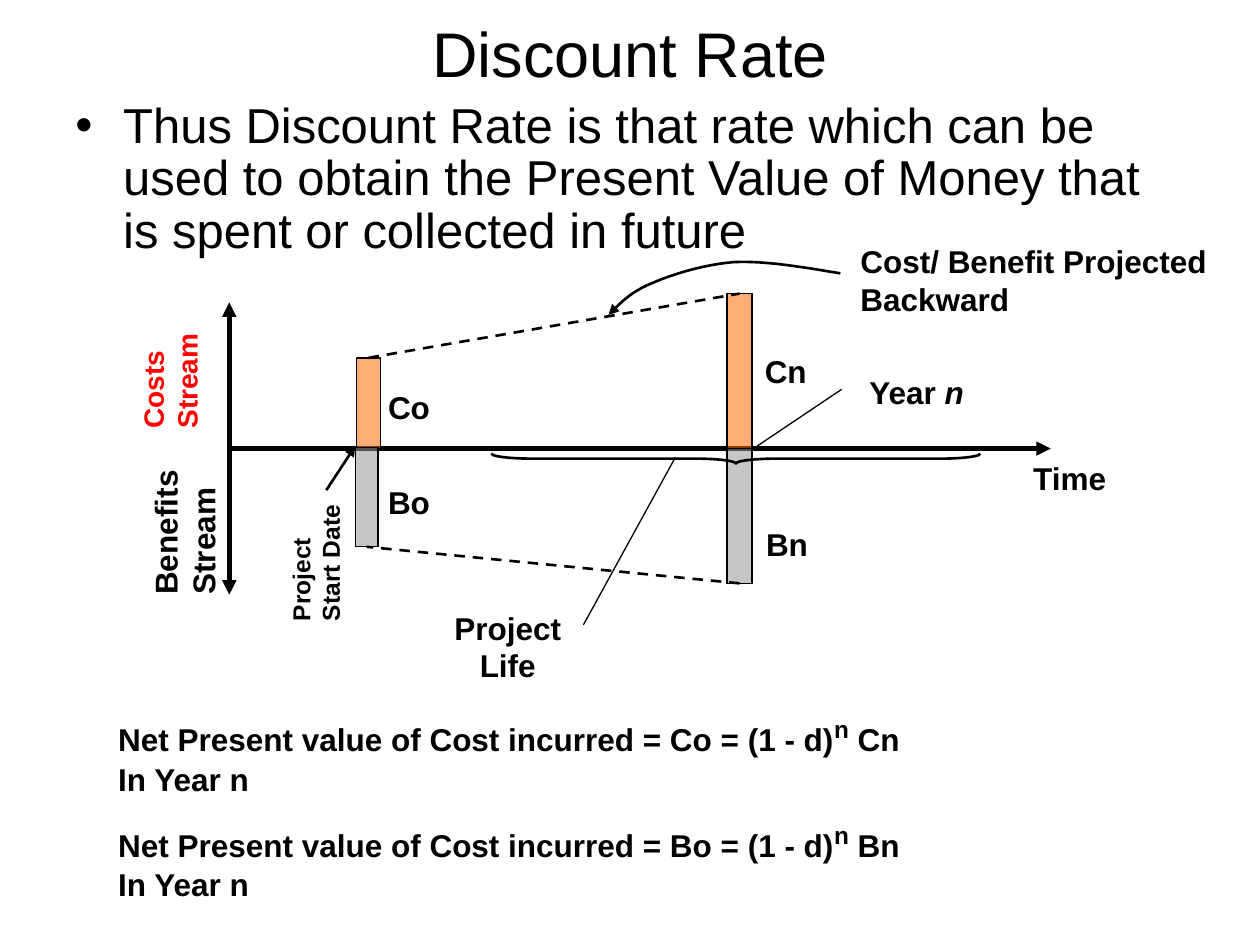
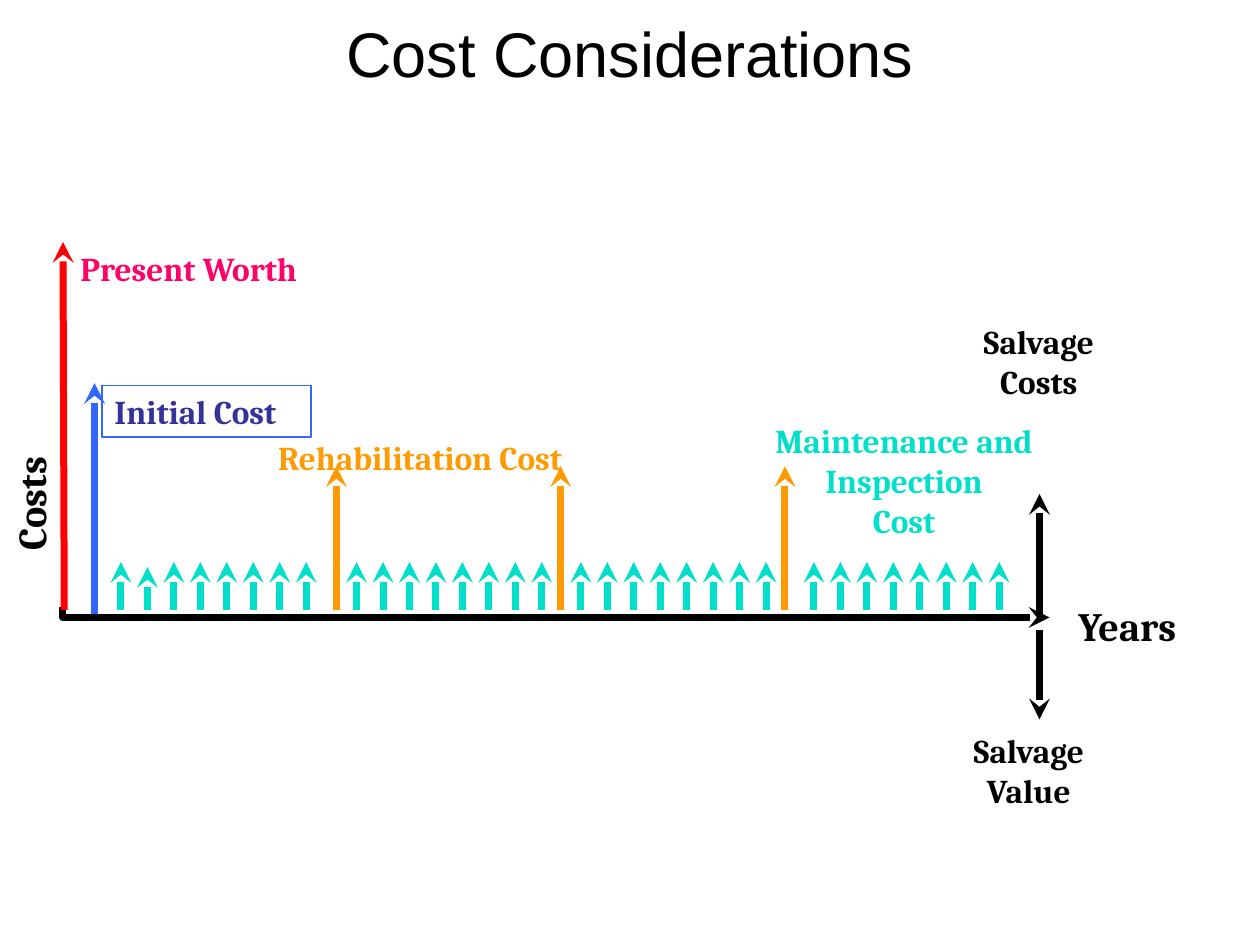
from dataclasses import dataclass

from lxml import etree
from pptx import Presentation
from pptx.dml.color import RGBColor
from pptx.enum.dml import MSO_LINE
from pptx.enum.shapes import MSO_CONNECTOR, MSO_SHAPE
from pptx.enum.text import MSO_ANCHOR, MSO_AUTO_SIZE, PP_ALIGN
from pptx.oxml.ns import qn
from pptx.util import Inches, Pt

LEFT, CENTER = PP_ALIGN.LEFT, PP_ALIGN.CENTER
MIDDLE = MSO_ANCHOR.MIDDLE
GROW, FIXED = MSO_AUTO_SIZE.SHAPE_TO_FIT_TEXT, MSO_AUTO_SIZE.NONE
DASH = MSO_LINE.DASH
STRAIGHT = MSO_CONNECTOR.STRAIGHT
RECT, BRACE = MSO_SHAPE.RECTANGLE, MSO_SHAPE.RIGHT_BRACE
TOP, BOTTOM = 0, 2


@dataclass(frozen=True)
class Theme:
    sans: str = "Arial"
    serif: str = "Cambria"
    black: str = "000000"
    red: str = "FF0000"
    pink: str = "FF0066"
    blue: str = "3366FF"
    navy: str = "333399"
    teal: str = "00DFCA"
    amber: str = "FE9B03"
    orange: str = "FF6600"
    gray: str = "969696"
    title: int = 36
    body: int = 28
    power: int = 24
    axis: int = 23
    cost: int = 19
    label: int = 18
    small: int = 16
    tiny: int = 14
    hair: float = 0.75
    thin: float = 1.5
    thick: float = 2.75
    heavy: float = 4


def rgb(code):
    return RGBColor.from_string(code)


def bezier(start, *curves, steps=12):
    """Return points along joined cubic curves, each (control, control, end)."""
    points = [start]
    for c1, c2, end in curves:
        p0 = points[-1]
        for i in range(1, steps + 1):
            t = i / steps
            u = 1 - t
            points.append(tuple(
                u**3 * a + 3 * u * u * t * b + 3 * u * t * t * c + t**3 * d
                for a, b, c, d in zip(p0, c1, c2, end)))
    return points


class Deck:
    def __init__(self, theme):
        self.theme = theme
        self.prs = Presentation()
        self.prs.slide_width, self.prs.slide_height = Inches(10), Inches(7.5)
        self.shapes = None

    def slide(self, title):
        blank = self.prs.slide_layouts[6]
        self.shapes = self.prs.slides.add_slide(blank).shapes
        box = self.text((0, 0, 10, 0.83), [title], self.theme.title,
                        bold=False, align=CENTER, wrap=True)
        box.text_frame.vertical_anchor = MIDDLE

    def text(self, at, paras, size, color=None, font=None, bold=True,
             align=LEFT, wrap=False, inset=True, upright=False, bullet=False):
        """Add text; a paragraph is a string or a list of (words, format)."""
        box = self.shapes.add_textbox(*map(Inches, at))
        frame = box.text_frame
        frame.word_wrap = wrap
        frame.auto_size = FIXED if wrap else GROW
        if not inset:
            for side in ("left", "top", "right", "bottom"):
                setattr(frame, f"margin_{side}", 0)
        if upright:
            frame._txBody.bodyPr.set("vert", "vert270")
        base = {"name": font or self.theme.sans, "size": Pt(size), "bold": bold}
        for i, words in enumerate(paras):
            para = frame.add_paragraph() if i else frame.paragraphs[0]
            para.alignment = align
            if bullet:
                self.bullet(para)
            runs = [(words, {})] if isinstance(words, str) else words
            for part, extra in runs:
                run = para.add_run()
                run.text = part
                for key, value in {**base, **extra}.items():
                    if key == "raise":
                        run._r.get_or_add_rPr().set("baseline", value)
                    else:
                        setattr(run.font, key, value)
                run.font.color.rgb = rgb(color or self.theme.black)
        return box

    def bullet(self, para):
        props = para._p.get_or_add_pPr()
        indent = Inches(0.38)
        props.set("marL", str(indent))
        props.set("indent", str(-indent))
        etree.SubElement(props, qn("a:buFont"), typeface=self.theme.sans)
        etree.SubElement(props, qn("a:buChar"), char="•")
        para.line_spacing = 0.9

    def stroke(self, shape, color, width, tip=None):
        line = shape.line
        line.color.rgb = rgb(color or self.theme.black)
        line.width = Pt(width)
        if tip:
            etree.SubElement(line._get_or_add_ln(), qn("a:tailEnd"), type=tip)

    def line(self, start, end, width, color=None, tip=None):
        wire = self.shapes.add_connector(
            STRAIGHT, *map(Inches, (*start, *end)))
        self.stroke(wire, color, width, tip)
        etree.SubElement(wire._element.spPr, qn("a:effectLst"))
        return wire

    def link(self, first, last, side):
        """Join the same side of two bars with a dashed line."""
        wire = self.line((0, 0), (1, 1), self.theme.thin)
        wire.line.dash_style = DASH
        wire.begin_connect(first, side)
        wire.end_connect(last, side)

    def bar(self, at, color):
        bar = self.shapes.add_shape(RECT, *map(Inches, at))
        bar.shadow.inherit = False
        bar.fill.solid()
        bar.fill.fore_color.rgb = rgb(color)
        tint = bar._element.spPr.find(f".//{qn('a:srgbClr')}")
        etree.SubElement(tint, qn("a:alpha"), val="54000")
        self.stroke(bar, None, self.theme.hair)
        return bar

    def brace(self, at, radius):
        brace = self.shapes.add_shape(BRACE, *map(Inches, at))
        brace.rotation = 90
        brace.adjustments[0] = radius / at[2]
        brace.shadow.inherit = False
        brace.fill.background()
        self.stroke(brace, None, self.theme.thin)

    def trace(self, points, width, tip):
        """Draw an open path that ends in an arrowhead."""
        spots = [(Inches(x), Inches(y)) for x, y in points]
        pen = self.shapes.build_freeform(*spots[0])
        pen.add_line_segments(spots[1:], close=False)
        shape = pen.convert_to_shape()
        shape.shadow.inherit = False
        shape.fill.background()
        self.stroke(shape, None, width, tip)


def rate(deck):
    th = deck.theme
    deck.slide("Discount Rate")
    deck.text((0.5, 0.75, 9, 1.5), [
        "Thus Discount Rate is that rate which can be used to obtain the "
        "Present Value of Money that is spent or collected in future"],
        th.body, bold=False, wrap=True, bullet=True)

    for top, sign in ((5.58, "C"), (6.42, "B")):
        deck.text((0.84, top, 6.47, 0.8), [
            [(f"Net Present value of Cost incurred = {sign}o = (1 - d)", {}),
             ("n", {"size": Pt(th.power), "raise": "30000"}),
             (f" {sign}n", {})],
            "In Year n"], th.label)

    origin = (1.82, 3.56)
    for end in ((1.82, 2.4), (8.34, 3.56), (1.82, 4.72)):
        deck.line(origin, end, th.thick, tip="triangle")

    for at, words, size, color in (
            ((1.08, 2.61, 0.53, 0.79), "Costs Stream", th.small, th.red),
            ((1.16, 3.67, 0.6, 1.05), "Benefits Stream", th.label, th.black),
            ((2.27, 3.82, 0.47, 1.11), "Project Start Date", th.tiny, th.black)):
        deck.text(at, [words], size, color, wrap=True, inset=False, upright=True)

    cn = deck.bar((5.77, 2.33, 0.2, 1.23), th.orange)
    bn = deck.bar((5.77, 3.56, 0.2, 1.07), th.gray)
    deck.brace((5.8, 1.7, 0.08, 3.88), 0.32)
    deck.line((2.59, 3.89), (2.82, 3.54), th.thin, tip="triangle")
    co = deck.bar((2.83, 2.84, 0.19, 0.72), th.orange)
    bo = deck.bar((2.82, 3.55, 0.18, 0.79), th.gray)
    deck.link(co, cn, TOP)
    deck.link(bn, bo, BOTTOM)

    deck.line((5.36, 3.63), (4.63, 4.96), th.hair)
    deck.line((6.01, 3.54), (6.68, 3.09), th.hair)
    for at, words in (
            ((3.52, 4.83, 1.02, 0.48), "Project Life"),
            ((6.76, 2.96, 1.03, 0.48), [("Year ", {}), ("n", {"italic": True})])):
        deck.text(at, [words], th.label, align=CENTER, wrap=True, inset=False)

    for left, top, words in (
            (8.2, 3.64, "Time"), (6.07, 2.79, "Cn"), (6.08, 4.17, "Bn"),
            (3.08, 3.08, "Co"), (3.08, 3.83, "Bo")):
        deck.text((left, top, 0.7, 0.3), [words], th.label,
                  wrap=True, inset=False)

    deck.trace(bezier(
        (6.67, 2.17),
        ((6.37, 2.12), (6.08, 2.07), (5.83, 2.08)),
        ((5.58, 2.1), (5.33, 2.18), (5.17, 2.25)),
        ((5, 2.32), (4.92, 2.41), (4.83, 2.5))), th.thin, "triangle")
    deck.text((6.73, 1.87, 3.02, 0.7),
              ["Cost/ Benefit Projected", "Backward"], th.label)


def costs(deck):
    th = deck.theme
    deck.slide("Cost Considerations")

    def arrow(x, low, high, color=None):
        deck.line((x, low), (x, high), th.heavy, color, "stealth")

    base = 4.84
    for start in (0.96, 2.83, 4.61, 6.46):
        for i in range(8):
            short = start == 0.96 and i == 1
            arrow(start + 0.21 * i, base, 4.5 if short else 4.46, th.teal)
    deck.text((5.89, 3.29, 2.57, 1.05),
              ["Maintenance and", "Inspection", "Cost"],
              th.cost, th.teal, th.serif, align=CENTER)

    arrow(0.75, 4.89, 3.04, th.blue)
    box = deck.text((0.81, 3.06, 1.66, 0.41), ["Initial Cost"],
                    th.cost, th.navy, th.serif, wrap=True)
    deck.stroke(box, th.blue, th.hair)

    deck.trace([(0.5, 4.82), (0.5, 4.9), (8.33, 4.9)], th.heavy, "stealth")
    deck.line((0.51, base), (0.5, 1.92), th.heavy, th.red, "stealth")
    for i in range(3):
        arrow(2.67 + 1.78 * i, base, 3.7, th.amber)

    side = deck.text((-0.28, 3.71, 1.04, 0.48), ["Costs"], th.axis, font=th.serif)
    side.rotation = 270
    for at, words, size, color in (
            ((0.54, 1.92, 2.21, 0.41), "Present Worth", th.cost, th.pink),
            ((8.46, 4.72, 1.11, 0.48), "Years", th.axis, th.black),
            ((2.11, 3.42, 2.75, 0.41), "Rehabilitation Cost", th.cost, th.amber)):
        deck.text(at, [words], size, color, th.serif)

    for left, top, words in ((7.5, 5.75, "Salvage Value"),
                             (7.58, 2.5, "Salvage Costs")):
        deck.text((left, top, 1.33, 0.74), [words], th.cost, font=th.serif,
                  align=CENTER, wrap=True)
    arrow(8.25, 4.88, 3.92)
    arrow(8.25, 5, 5.71)


def main():
    deck = Deck(Theme())
    rate(deck)
    costs(deck)
    deck.prs.save("out.pptx")


if __name__ == "__main__":
    main()
